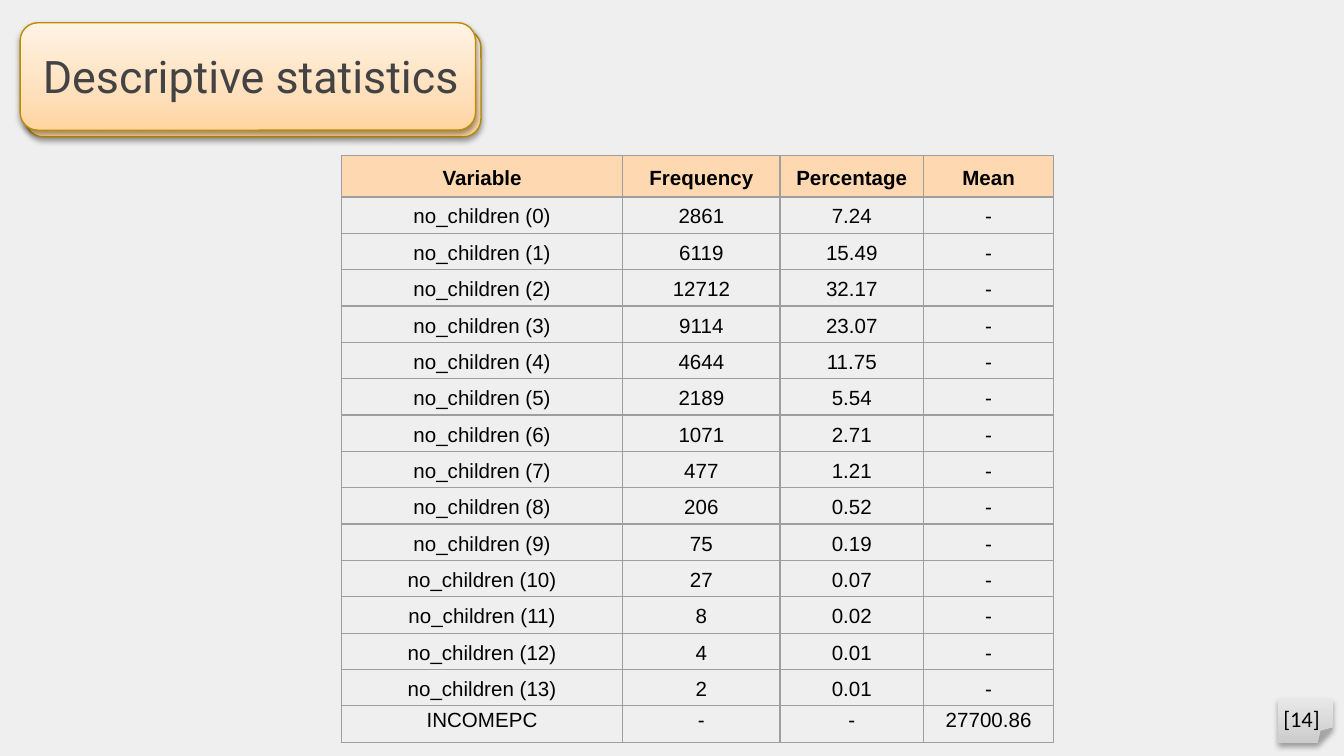
from lxml import etree
from pptx import Presentation
from pptx.dml.color import RGBColor
from pptx.enum.shapes import MSO_SHAPE
from pptx.enum.text import MSO_ANCHOR, MSO_AUTO_SIZE, PP_ALIGN
from pptx.oxml import parse_xml
from pptx.util import Pt

ROUND_RECT, FOLDED = MSO_SHAPE.ROUNDED_RECTANGLE, MSO_SHAPE.FOLDED_CORNER
CENTER, LEFT = PP_ALIGN.CENTER, PP_ALIGN.LEFT
TOP, MIDDLE = MSO_ANCHOR.TOP, MSO_ANCHOR.MIDDLE
GROW = MSO_AUTO_SIZE.SHAPE_TO_FIT_TEXT
NS = "http://schemas.openxmlformats.org/drawingml/2006/main"

# Content
TITLE = "Descriptive statistics"
PAGE = "[14]"
HEADERS = ["Variable", "Frequency", "Percentage", "Mean"]
CHILDREN = [  # frequency and percentage for 0, 1, 2 ... children
    ("2861", "7.24"), ("6119", "15.49"), ("12712", "32.17"), ("9114", "23.07"),
    ("4644", "11.75"), ("2189", "5.54"), ("1071", "2.71"), ("477", "1.21"),
    ("206", "0.52"), ("75", "0.19"), ("27", "0.07"), ("8", "0.02"),
    ("4", "0.01"), ("2", "0.01"),
]
INCOME = ["INCOMEPC", "-", "-", "27700.86"]
ROWS = [HEADERS]
ROWS += [[f"no_children ({n})", freq, pct, "-"] for n, (freq, pct) in enumerate(CHILDREN)]
ROWS += [INCOME]

# Style
COLORS = {"background": "EFEFEF", "title": "434343", "text": "000000",
          "header": "FED8B1", "border": "9E9E9E", "badge_line": "BB8D00"}
BADGE_STOPS = [(0, "FFD4A0"), (35, "FFE0BC"), (100, "FFF3E5")]
NOTE_STOPS = [(0, "CCCCCC"), (100, "E7E7E7")]

# Layout in points
BADGE_BOXES = [(13.7, 15.8, 244, 57.6), (10.8, 12.2, 244, 57.6)]
TITLE_BOX = (10.8, 22.3, 247, 36)
NOTE_BOX = (684.7, 374.4, 29.5, 23.8)
PAGE_BOX = (680.4, 374.4, 67, 21.6)
TABLE_AT = (182.9, 83.5)
COL_WIDTHS = [150.8, 84.2, 77, 69.6]
HEADER_H, ROW_H = 22, 19.5


def rgb(name):
    return RGBColor.from_string(COLORS[name])


def pts(values):
    return [Pt(v) for v in values]


def write(tf, text, font, size, color, align, bold=False):
    p = tf.paragraphs[0]
    p.alignment = align
    r = p.add_run()
    r.text = text
    r.font.name, r.font.size, r.font.bold = font, Pt(size), bold
    r.font.color.rgb = rgb(color)
    return p


def add_panel(shapes, kind, box, corner, stops, shadow_alpha, shadow_dist):
    """Shape with an upward gradient and a soft shadow below; corner in percent."""
    sp = shapes.add_shape(kind, *pts(box))
    sp.shadow.inherit = False
    sp.line.fill.background()
    sp.fill.gradient()
    sp.fill.gradient_angle = 90
    props = sp._element.spPr
    # The folded corner has no adjustments in python-pptx, so set the guide itself
    guides = props.find(f".//{{{NS}}}avLst")
    for guide in list(guides):
        guides.remove(guide)
    etree.SubElement(guides, f"{{{NS}}}gd", name="adj", fmla=f"val {round(corner * 1000)}")
    gs_list = props.find(f".//{{{NS}}}gsLst")
    for stop in list(gs_list):
        gs_list.remove(stop)
    for pos, color in stops:
        gs = etree.SubElement(gs_list, f"{{{NS}}}gs", pos=str(pos * 1000))
        etree.SubElement(gs, f"{{{NS}}}srgbClr", val=color)
    props.find(f"{{{NS}}}effectLst").append(parse_xml(
        f'<a:outerShdw xmlns:a="{NS}" blurRad="{Pt(3.1)}" dist="{Pt(shadow_dist)}" '
        f'dir="5400000" algn="t" rotWithShape="0"><a:srgbClr val="000000">'
        f'<a:alpha val="{shadow_alpha * 1000}"/></a:srgbClr></a:outerShdw>'))
    return sp


def add_borders(cell):
    props = cell._tc.get_or_add_tcPr()
    for side in ("lnL", "lnR", "lnT", "lnB"):
        props.append(parse_xml(
            f'<a:{side} xmlns:a="{NS}" w="{Pt(0.75)}"><a:solidFill>'
            f'<a:srgbClr val="{COLORS["border"]}"/></a:solidFill></a:{side}>'))


prs = Presentation()
prs.slide_width, prs.slide_height = Pt(720), Pt(405)
s = prs.slides.add_slide(prs.slide_layouts[5])
s.background.fill.solid()
s.background.fill.fore_color.rgb = rgb("background")

# Stacked badge behind the title
badge = s.shapes.add_group_shape()
for box in BADGE_BOXES:
    sp = add_panel(badge.shapes, ROUND_RECT, box, 16.7, BADGE_STOPS, 38, 1.6)
    sp.line.color.rgb = rgb("badge_line")
    sp.line.width = Pt(0.75)

# Title, brought in front of the badge
title = s.shapes.title
title.left, title.top, title.width, title.height = pts(TITLE_BOX)
tf = title.text_frame
tf.word_wrap, tf.auto_size, tf.vertical_anchor = True, GROW, TOP
write(tf, TITLE, "Roboto", 24, "title", CENTER)
badge._element.addnext(title._element)

# Page number on a folded note
add_panel(s.shapes, FOLDED, NOTE_BOX, 34.8, NOTE_STOPS, 35, 1.8)
tf = s.shapes.add_textbox(*pts(PAGE_BOX)).text_frame
tf.word_wrap, tf.auto_size = True, GROW
write(tf, PAGE, "Calibri", 12, "text", LEFT)

# Statistics table
heights = [HEADER_H] + [ROW_H] * (len(ROWS) - 1)
table = s.shapes.add_table(len(ROWS), len(HEADERS), *pts(TABLE_AT),
                           Pt(sum(COL_WIDTHS)), Pt(sum(heights))).table
table.first_row = table.horz_banding = False
for col, width in zip(table.columns, COL_WIDTHS):
    col.width = Pt(width)
for i, (values, height) in enumerate(zip(ROWS, heights)):
    table.rows[i].height = Pt(height)
    is_header = values is HEADERS
    for j, value in enumerate(values):
        cell = table.cell(i, j)
        cell.margin_left = cell.margin_right = Pt(5)
        cell.margin_top = cell.margin_bottom = 0
        cell.vertical_anchor = TOP if values is INCOME else MIDDLE
        add_borders(cell)
        if is_header:
            cell.fill.solid()
            cell.fill.fore_color.rgb = rgb("header")
        else:
            cell.fill.background()
        p = write(cell.text_frame, value, "Arial", 11, "text", CENTER, is_header)
        p.line_spacing = 1.15

prs.save("out.pptx")
